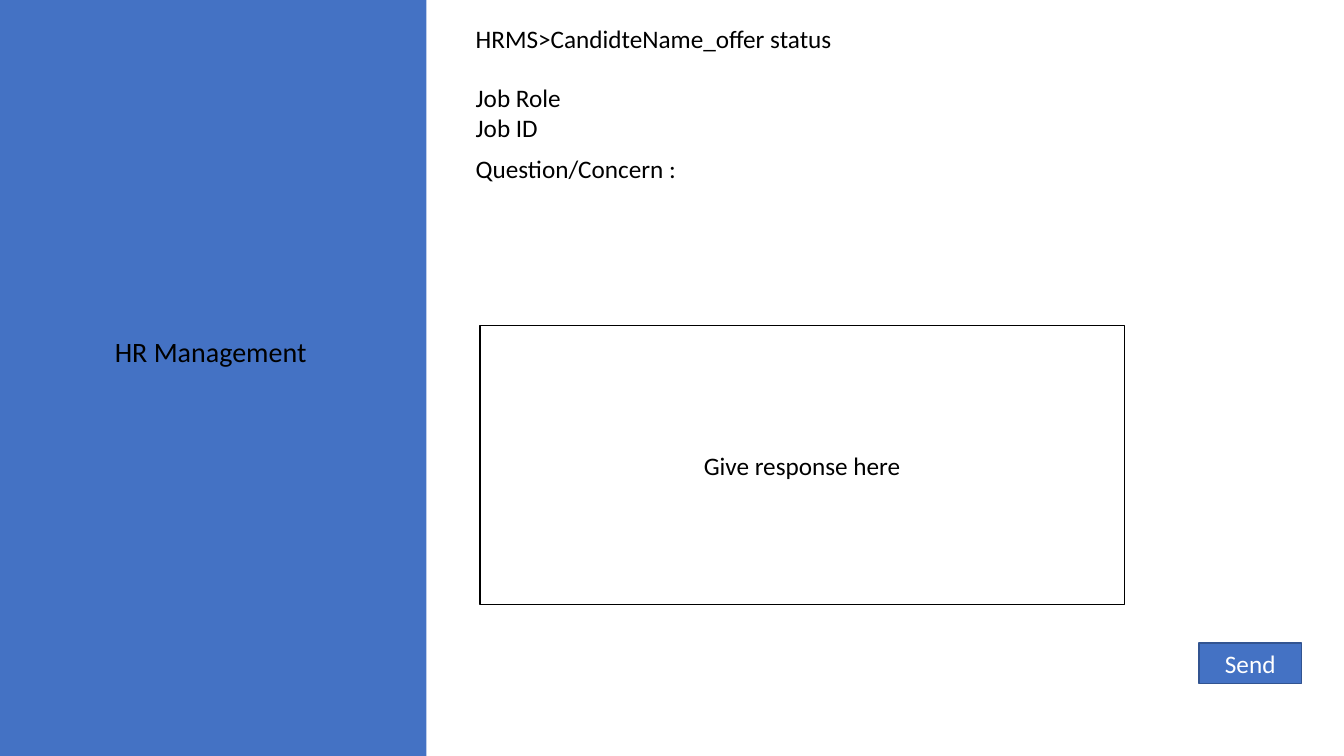
"""Build the HR offer status reply screen."""
import pptx
import pptx.dml.color
import pptx.enum.shapes
import pptx.enum.text
import pptx.util

RGBColor = pptx.dml.color.RGBColor
BLUE = RGBColor(0x44, 0x72, 0xC4)
NAVY = RGBColor(0x32, 0x54, 0x91)
BLACK = RGBColor(0, 0, 0)
WHITE = RGBColor(255, 255, 255)
RECT = pptx.enum.shapes.MSO_SHAPE.RECTANGLE
ALIGN = pptx.enum.text.PP_ALIGN
ANCHOR = pptx.enum.text.MSO_ANCHOR
FIT = pptx.enum.text.MSO_AUTO_SIZE

deck = pptx.Presentation()
deck.slide_width = pptx.util.Inches(13.33)
deck.slide_height = pptx.util.Inches(7.5)
slide = deck.slides.add_slide(deck.slide_layouts[5])
LEFT = 34.66


def place(left, top, width, height):
    """Turn percent shares of the slide into lengths."""
    wide, high = deck.slide_width / 100, deck.slide_height / 100
    return [round(n) for n in (left * wide, top * high, width * wide, height * high)]


def write(shape, text, size, color, align, frame):
    """Fill a shape with styled text."""
    box = shape.text_frame
    box.text = text
    for key, value in frame.items():
        setattr(box, key, value)
    style = {"name": "Calibri", "size": pptx.util.Pt(size)}
    for para in box.paragraphs:
        para.alignment = align
        para.font.color.rgb = color
        for key, value in style.items():
            setattr(para.font, key, value)


panel = slide.shapes.add_shape(RECT, *place(0, 0, 31.73, 100))
panel.shadow.inherit = False
panel.fill.solid()
panel.fill.fore_color.rgb = BLUE
panel.line.fill.background()

title = slide.shapes.title
panel._element.addnext(title._element)
spot = dict(zip(("left", "top", "width", "height"), place(2.55, 44.13, 26.26, 24.53)))
for key, value in spot.items():
    setattr(title, key, value)
top = {"vertical_anchor": ANCHOR.TOP, "auto_size": FIT.NONE, "word_wrap": True}
write(title, "HR Management", 20, BLACK, ALIGN.CENTER, top)
title.text_frame.paragraphs[0].line_spacing = 0.9

labels = [
    ("HRMS>CandidteName_offer status", 2.4, 34.28, 5.33),
    ("Job Role\nJob ID", 10.27, 22.5, 9.47),
    ("Question/Concern :", 19.6, 22.5, 5.33),
]
grow = {"word_wrap": True, "auto_size": FIT.SHAPE_TO_FIT_TEXT}
for text, row, width, height in labels:
    label = slide.shapes.add_textbox(*place(LEFT, row, width, height))
    write(label, text, 18, BLACK, ALIGN.LEFT, grow)

fields = [
    ("Give response here", (35.71, 43.07, 47.94, 36.93), WHITE, BLACK, BLACK),
    ("Send", (89.2, 85.07, 7.65, 5.33), BLUE, NAVY, WHITE),
]
middle = {"word_wrap": True, "vertical_anchor": ANCHOR.MIDDLE}
for text, area, fill, edge, ink in fields:
    field = slide.shapes.add_shape(RECT, *place(*area))
    field.shadow.inherit = False
    field.fill.solid()
    field.fill.fore_color.rgb = fill
    field.line.color.rgb = edge
    field.line.width = pptx.util.Pt(1)
    write(field, text, 18, ink, ALIGN.CENTER, middle)

deck.save("out.pptx")
